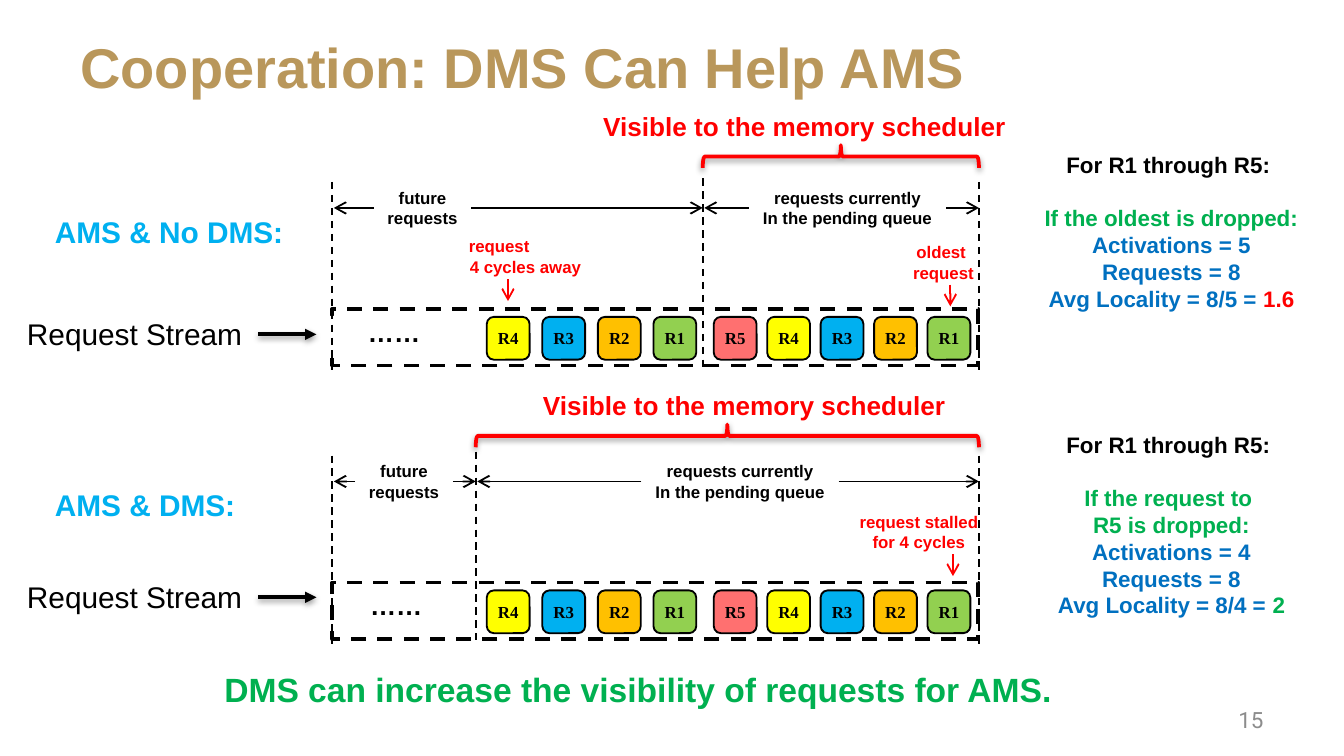
from lxml.etree import SubElement
from pptx import Presentation
from pptx.dml.color import RGBColor as RGB
from pptx.enum.dml import MSO_LINE as Dash
from pptx.enum.shapes import MSO_CONNECTOR as Conn, MSO_SHAPE as Form
from pptx.enum.text import MSO_ANCHOR as Anchor, PP_ALIGN as Align
from pptx.oxml.ns import qn
from pptx.util import Cm, Pt

BLACK = RGB(0, 0, 0)
WHITE = RGB(255, 255, 255)
GREY = RGB(0x8C, 0x8C, 0x8C)
GOLD = RGB(0xB9, 0x97, 0x5B)
RED = RGB(255, 0, 0)
GREEN = RGB(0, 0xB0, 0x50)
BLUE = RGB(0, 0x70, 0xC0)
SKY = RGB(0, 0xB0, 0xF0)
LIME = RGB(0x92, 0xD0, 0x50)
AMBER = RGB(255, 0xC0, 0)
YELLOW = RGB(255, 255, 0)

HUES = {"R1": LIME, "R2": AMBER, "R3": SKY, "R4": YELLOW, "R5": RED}
STEP = 5.17
LEFT, RIGHT = 6.28, 18.5


def write(frame, text, size=9, hue=BLACK, bold=True, font="Arial",
          align=Align.CENTER, gap=0, join=False):
    para = frame.paragraphs[-1]
    if para.runs and not join:
        para = frame.add_paragraph()
    if not join:
        para.alignment = align
        para.space_before = Pt(gap)
    run = para.add_run()
    run.text = text
    run.font.size = Pt(size)
    run.font.bold = bold
    run.font.name = font
    run.font.color.rgb = hue


def shade(effects):
    glow = SubElement(effects, qn("a:outerShdw"), blurRad="40000", dist="20000",
                      dir="5400000", rotWithShape="0")
    black = SubElement(glow, qn("a:srgbClr"), val="000000")
    SubElement(black, qn("a:alpha"), val="38000")


class Board:
    """Holds the current slide and draws styled elements on it, in centimetres."""

    def __init__(self, slide):
        self.shapes = slide.shapes

    def text(self, x, y, w, h, words, wrap=True, anchor=Anchor.TOP, **style):
        box = self.shapes.add_textbox(Cm(x), Cm(y), Cm(w), Cm(h))
        box.text_frame.word_wrap = wrap
        box.text_frame.vertical_anchor = anchor
        for words_line in words.split("\n"):
            write(box.text_frame, words_line, **style)
        return box

    def shape(self, form, x, y, w, h, fill=None, hue=None, width=1):
        item = self.shapes.add_shape(form, Cm(x), Cm(y), Cm(w), Cm(h))
        item.shadow.inherit = False
        if fill is None:
            item.fill.background()
        else:
            item.fill.solid()
            item.fill.fore_color.rgb = fill
        if hue is None:
            item.line.fill.background()
        else:
            item.line.color.rgb = hue
            item.line.width = Pt(width)
        item.text_frame.vertical_anchor = Anchor.MIDDLE
        return item

    def tile(self, x, y, name):
        item = self.shape(Form.ROUNDED_RECTANGLE, x, y, 0.81, 0.81, HUES[name], BLACK)
        if name == "R5":
            tint = item.element.spPr.find(qn("a:solidFill"))[0]
            SubElement(tint, qn("a:alpha"), val="56000")
        frame = item.text_frame
        frame.margin_left = frame.margin_right = frame.margin_top = frame.margin_bottom = 0
        write(frame, name, font="Times New Roman")

    def brace(self, left, right, y):
        span, thick = right - left, 0.43
        item = self.shape(Form.LEFT_BRACE, (left + right - thick) / 2, y - span / 2,
                          thick, span, hue=RED, width=2)
        item.rotation = 90
        shade(item.element.spPr.find(qn("a:effectLst")))

    def line(self, x1, y1, x2, y2, hue=BLACK, width=1, dash=False, head=None,
             start=None, shadow=False):
        link = self.shapes.add_connector(Conn.STRAIGHT, Cm(x1), Cm(y1), Cm(x2), Cm(y2))
        link.line.color.rgb = hue
        link.line.width = Pt(width)
        if dash:
            link.line.dash_style = Dash.DASH
        if start:
            link.begin_connect(*start)
        props = link.element.spPr
        if head:
            SubElement(props.find(qn("a:ln")), qn("a:tailEnd"), type=head)
        effects = SubElement(props, qn("a:effectLst"))
        if shadow:
            shade(effects)

    def span(self, x, y, w, words, ends):
        box = self.text(x, y, w, 1.02, words, wrap=False)
        mid = y + 0.51
        for side, edge, end in ((1, x, ends[0]), (3, x + w, ends[1])):
            self.line(edge, mid, end, mid, head="arrow", start=(box, side))

    def note(self, x, y, w, words, tip):
        self.text(x, y, w, 1.02, words, wrap=False, hue=RED)
        self.drop(tip, y + 0.93)

    def drop(self, x, y):
        self.line(x, y, x, y + 0.41, hue=RED, head="arrow")

    def facts(self, y, case, count, ratio, mean, hue):
        box = self.text(19.45, y, 5.38, 3.6, "For R1 through R5: ", wrap=False, size=12)
        frame = box.text_frame
        for i, words in enumerate(case):
            write(frame, words, size=12, hue=GREEN, gap=0 if i else 13.8)
        for words in (f"Activations = {count}", "Requests = 8", f"Avg Locality = {ratio} = "):
            write(frame, words, size=12, hue=BLUE)
        write(frame, mean, size=12, hue=hue, join=True)

    def stream(self, dy, title, split, dots, future, queue, head, feed):
        strip = self.shape(Form.RECTANGLE, LEFT, 5.84 + dy, 12.21, 1.07, WHITE, BLACK, 2)
        strip.line.dash_style = Dash.DASH
        blank = self.shape(Form.RECTANGLE, dots[0], 5.97 + dy, dots[1], 0.61, WHITE)
        write(blank.text_frame, "……", size=14)
        for x, top in ((LEFT, 3.44), (split, 3.37), (RIGHT, 3.44)):
            self.line(x, top + dy, x, top + 3.56 + dy, dash=True)
        self.span(future, 3.42 + dy, 1.85, "future\nrequests", (LEFT + 0.03, split))
        self.span(queue, 3.42 + dy, 3.73, "requests currently\nIn the pending queue",
                  (split + 0.03, RIGHT))
        for i, name in enumerate(("R4", "R3", "R2", "R1")):
            self.tile(9.2 + 1.05 * i, 5.99 + dy, name)
        for i, name in enumerate(("R5", "R4", "R3", "R2", "R1")):
            self.tile(13.49 + 1.01 * i, 5.99 + dy, name)
        self.text(0.79, 3.91 + dy, 5.44, 2.51, title, size=16, hue=SKY, align=Align.LEFT)
        feeder = self.text(0.21, feed, 4.67, 0.94, "Request Stream", size=16, bold=False)
        self.line(4.88, feed + 0.47, 5.98, feed + 0.47, width=2, head="triangle",
                  start=(feeder, 3), shadow=True)
        self.brace(split, RIGHT, head[1] + 1.0)
        self.text(head[0], head[1], 8.2, 0.86, "Visible to the memory scheduler",
                  size=14, hue=RED, align=Align.LEFT)


def main():
    deck = Presentation()
    deck.slide_width, deck.slide_height = Cm(25.4), Cm(14.29)
    board = Board(deck.slides.add_slide(deck.slide_layouts[6]))
    board.text(1.27, 0.05, 22.86, 2.39, "Cooperation: DMS Can Help AMS",
               anchor=Anchor.MIDDLE, size=30, hue=GOLD, align=Align.LEFT)
    board.text(18.21, 13.23, 5.92, 0.76, "15", anchor=Anchor.MIDDLE, size=12,
               hue=GREY, bold=False, font="Roboto", align=Align.RIGHT)

    board.stream(0, "AMS & No DMS:", split=13.28, dots=(5.33, 4.24), future=7.06,
                 queue=14.15, head=(11.15, 1.96), feed=5.85)
    board.note(16.99, 4.45, 1.68, "oldest \nrequest", tip=17.96)
    away = board.text(8.61, 4.34, 2.64, 1.02, "request", hue=RED, align=Align.LEFT)
    write(away.text_frame, "4 cycles away", hue=RED)
    board.drop(9.6, 5.28)
    board.facts(2.74, ["If the oldest is dropped:"], 5, "8/5", "1.6", RED)

    board.stream(STEP, "AMS & DMS:", split=8.99, dots=(6.55, 1.88), future=6.71,
                 queue=12.12, head=(10.01, 7.24), feed=10.82)
    board.note(15.93, 9.55, 2.87, "request stalled\nfor 4 cycles", tip=18.01)
    board.facts(8.03, ["If the request to ", "R5 is dropped:"], 4, "8/4", "2", GREEN)

    board.text(3.99, 12.52, 20.35, 1.32, "DMS can increase the visibility of requests for AMS.",
               size=18, hue=GREEN, align=Align.LEFT)
    deck.save("out.pptx")


if __name__ == "__main__":
    main()
